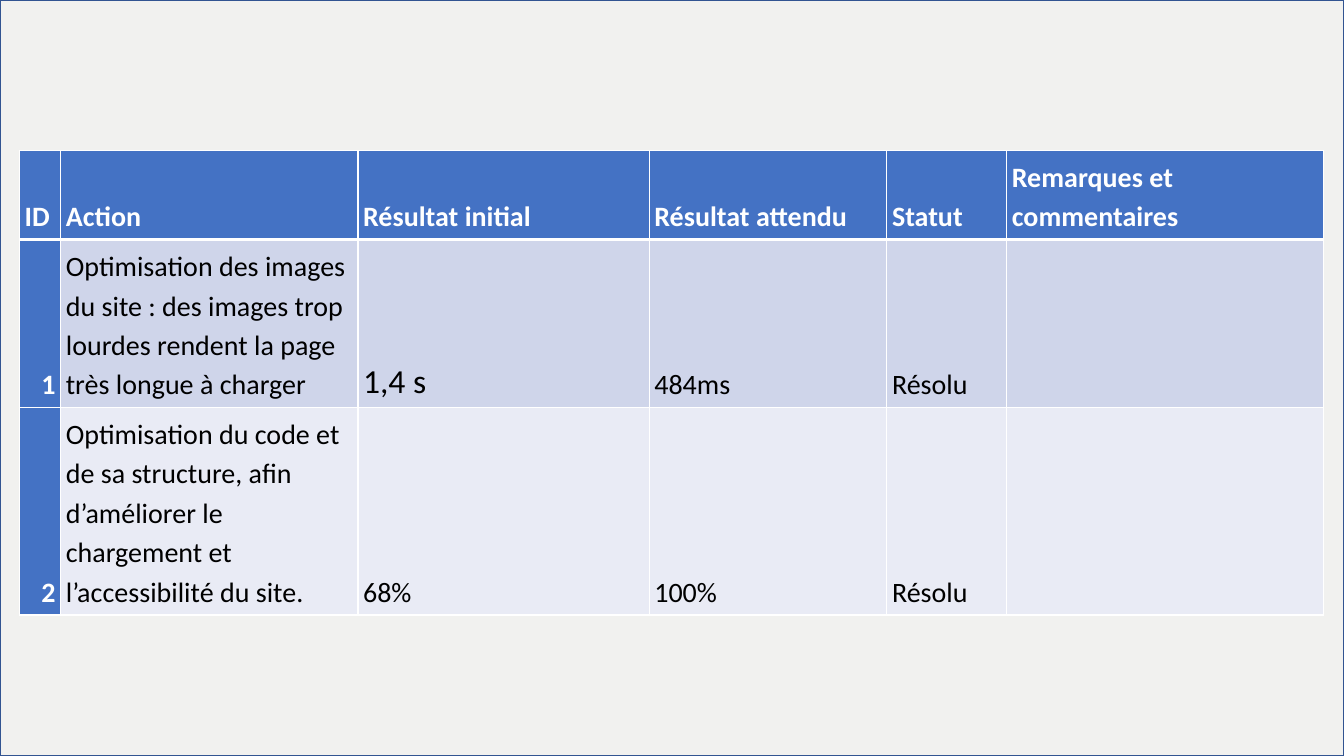
from dataclasses import dataclass

from lxml import etree
from pptx import Presentation
from pptx.dml.color import RGBColor
from pptx.enum.shapes import MSO_SHAPE
from pptx.enum.text import MSO_ANCHOR, PP_ALIGN
from pptx.oxml.ns import qn
from pptx.util import Cm, Pt

COLORS = {
    "background": "F1F1EF",
    "outline": "325491",
    "header": "4472C4",
    "odd_row": "CFD5EA",
    "even_row": "E9EBF5",
    "white": "FFFFFF",
    "black": "000000",
}
COL_WIDTHS = [1.04, 7.49, 7.34, 5.99, 3.02, 7.98]
ROW_HEIGHTS = [2.18, 4.17, 5.13]
HEADERS = ["ID", "Action", "Résultat initial", "Résultat attendu", "Statut",
           "Remarques et commentaires"]


@dataclass
class Task:
    number: str
    action: str
    initial: str
    expected: str
    status: str
    remarks: str = ""
    initial_size: int = 20


TASKS = [
    Task("1", "Optimisation des images du site : des images trop lourdes "
         "rendent la page très longue à charger", "1,4 s", "484ms", "Résolu",
         initial_size=24),
    Task("2", "Optimisation du code et de sa structure, afin d’améliorer le "
         "chargement et l’accessibilité du site.", "68%", "100%", "Résolu"),
]


def rgb(name: str) -> RGBColor:
    return RGBColor.from_string(COLORS[name])


def add_borders(cell, bottom: int) -> None:
    """Draw white borders, one point wide except at the bottom."""
    tc_pr = cell._tc.get_or_add_tcPr()
    for i, (side, width) in enumerate(zip("LRTB", (1, 1, 1, bottom))):
        ln = etree.Element(qn(f"a:ln{side}"), w=str(Pt(width)))
        fill = etree.SubElement(ln, qn("a:solidFill"))
        etree.SubElement(fill, qn("a:srgbClr"), val=COLORS["white"])
        tc_pr.insert(i, ln)


def fill_cell(cell, text: str, fill: str, *, strong: bool = False,
              size: int = 20, spacing: float = 1.15,
              align: PP_ALIGN = PP_ALIGN.LEFT, bottom: int = 1) -> None:
    cell.fill.solid()
    cell.fill.fore_color.rgb = rgb(fill)
    cell.vertical_anchor = MSO_ANCHOR.BOTTOM
    cell.margin_left = cell.margin_right = Cm(0.13)
    cell.margin_top = cell.margin_bottom = Cm(0.13)
    p = cell.text_frame.paragraphs[0]
    p.text = text
    p.alignment = align
    p.line_spacing = spacing
    p.font.name = "Calibri"
    p.font.size = Pt(size)
    p.font.bold = strong
    p.font.color.rgb = rgb("white" if strong else "black")
    add_borders(cell, bottom)


def add_task(table, row: int, task: Task) -> None:
    fill = "odd_row" if row % 2 else "even_row"
    large = task.initial_size > 20
    fill_cell(table.cell(row, 0), task.number, "header", strong=True,
              align=PP_ALIGN.RIGHT)
    fill_cell(table.cell(row, 1), task.action, fill)
    fill_cell(table.cell(row, 2), task.initial, fill, size=task.initial_size,
              spacing=1.0 if large else 1.15)
    for col, text in enumerate((task.expected, task.status, task.remarks), 3):
        fill_cell(table.cell(row, col), text, fill)


def main() -> None:
    prs = Presentation()
    prs.slide_width, prs.slide_height = Cm(33.87), Cm(19.05)
    s = prs.slides.add_slide(prs.slide_layouts[6])

    # Background panel
    sp = s.shapes.add_shape(MSO_SHAPE.RECTANGLE, 0, 0,
                            prs.slide_width, prs.slide_height)
    sp.shadow.inherit = False
    sp.fill.solid()
    sp.fill.fore_color.rgb = rgb("background")
    sp.line.color.rgb = rgb("outline")
    sp.line.width = Pt(1)

    # Table grid
    table = s.shapes.add_table(
        len(ROW_HEIGHTS), len(COL_WIDTHS), Cm(0.49), Cm(3.79),
        Cm(sum(COL_WIDTHS)), Cm(sum(ROW_HEIGHTS))).table
    for column, width in zip(table.columns, COL_WIDTHS):
        column.width = Cm(width)
    for row, height in zip(table.rows, ROW_HEIGHTS):
        row.height = Cm(height)

    # Header and tasks
    for col, title in enumerate(HEADERS):
        fill_cell(table.cell(0, col), title, "header", strong=True, bottom=3)
    for row, task in enumerate(TASKS, 1):
        add_task(table, row, task)
    # The first row shares the thick line below the header
    for col in range(len(COL_WIDTHS)):
        top = table.cell(1, col)._tc.tcPr.find(qn("a:lnT"))
        top.set("w", str(Pt(3)))

    prs.save("out.pptx")


if __name__ == "__main__":
    main()
